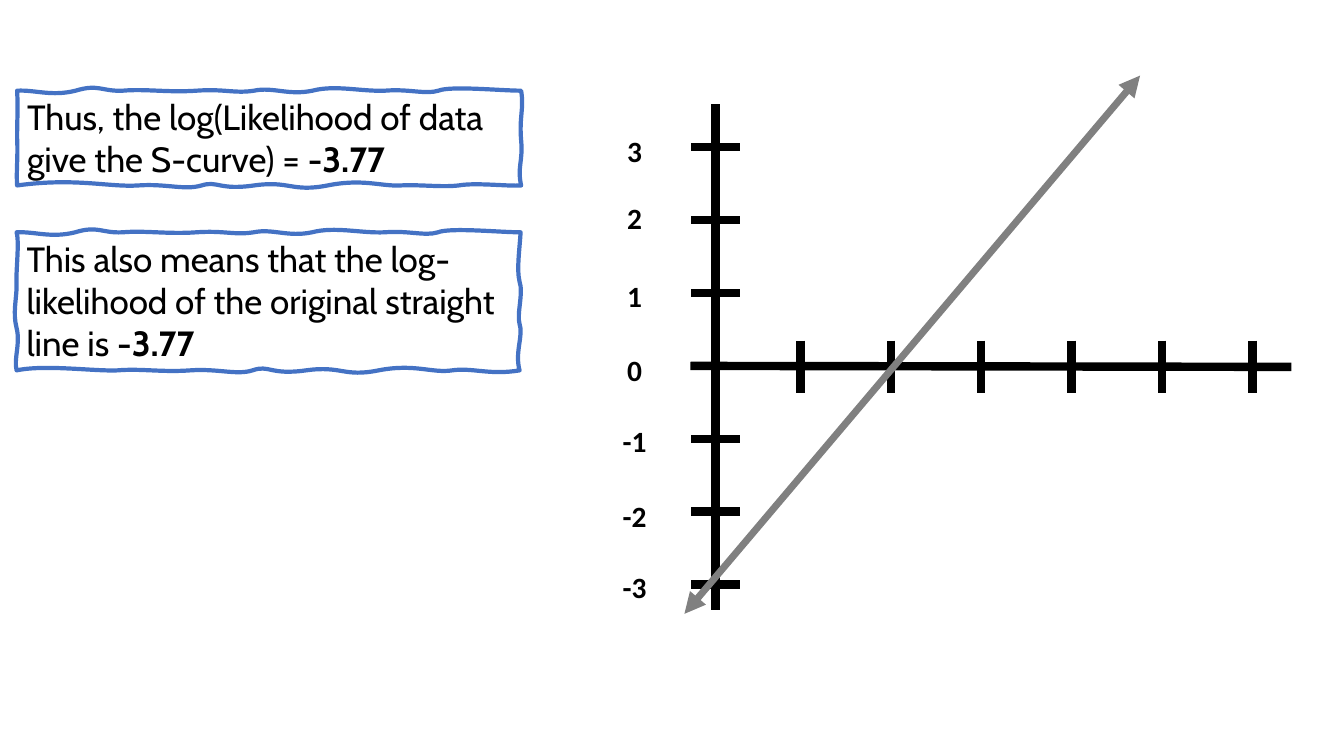
from lxml.etree import SubElement
from pptx import Presentation
from pptx.dml.color import RGBColor
from pptx.enum.shapes import MSO_CONNECTOR
from pptx.enum.text import MSO_ANCHOR, PP_ALIGN
from pptx.oxml.ns import qn
from pptx.util import Inches, Pt

CELL = 0.1  # inches; the grid has 133.33 columns and 75 rows
COLUMNS, ROWS = 133.33, 75
BLACK, BLUE, GRAY = "000000", "4472C4", "808080"

# Wavy edges: each curve is (control, control, end) from the box corner, in cells
TOP_EDGE = [
    (1.8, -.1, 3.4, .6, 5.8, 0), (8.1, -.7, 8.4, .1, 10.5, 0),
    (12.7, -.2, 15, .2, 17.8, 0), (20.6, -.2, 21.6, .3, 23.5, 0),
    (25.4, -.4, 26.9, .5, 29.3, 0), (31.6, -.6, 34.1, .1, 36.5, 0),
    (38.9, -.2, 40.5, .4, 41.8, 0), (43, -.5, 48, 0, 50, 0),
]
SHORT_EDGES = [
    (50.3, 1.8, 49.8, 2.6, 50, 4.9), (50.2, 7.1, 49.6, 7.5, 50, 9.4),
    (48.7, 9.5, 45.5, 9.1, 43.8, 9.4), (42.1, 9.6, 40, 9.3, 38, 9.4),
    (36.1, 9.5, 34.3, 8.7, 30.8, 9.4), (27.2, 10.1, 27.1, 8.9, 23.5, 9.4),
    (20, 9.9, 19.9, 8.9, 18.3, 9.4), (16.6, 9.9, 14.8, 9.2, 12, 9.4),
    (9.2, 9.6, 5.8, 8.6, 0, 9.4), (-.1, 7.9, .1, 6.6, 0, 4.7),
    (0, 2.8, .1, 1.8, 0, 0),
]
TALL_EDGES = [
    (49.9, 1.7, 49.6, 3.7, 49.9, 4.9), (50.3, 6, 49.6, 8.1, 49.9, 9.1),
    (50.3, 10.2, 49.4, 11.9, 49.9, 13.7), (46.9, 14.2, 45.2, 13.4, 43.2, 13.7),
    (41.2, 14, 39.5, 13, 35.9, 13.7), (32.4, 14.4, 32.3, 13.2, 28.7, 13.7),
    (25.1, 14.2, 25.1, 13.1, 23.4, 13.7), (21.8, 14.2, 20, 13.5, 17.2, 13.7),
    (14.4, 13.9, 12.3, 13.5, 10, 13.7), (7.7, 13.8, 2.8, 13.1, 0, 13.7),
    (-.3, 12.5, .4, 11.1, 0, 9.5), (-.4, 8, 0, 6.6, 0, 5.3),
    (-.1, 3.9, .3, 1.1, 0, 0),
]


def color(hex_string):
    return RGBColor.from_string(hex_string)


def cells(count):
    return Inches(count * CELL)


class SlideBuilder:
    body_font, body_size = "Cabin", 25
    label_font, label_size = "Calibri", 21

    def __init__(self, slide):
        self.slide = slide

    def run(self, paragraph, text, font, size, bold):
        run = paragraph.add_run()
        run.text = text
        run.font.name, run.font.size, run.font.bold = font, Pt(size), bold
        run.font.color.rgb = color(BLACK)

    def curved_shape(self, left, top, width, height, curves):
        """A freeform framed by a rectangle, with cubic curves as its outline."""
        right, bottom = left + width, top + height
        builder = self.slide.shapes.build_freeform(cells(left), cells(top))
        builder.add_line_segments([(cells(x), cells(y)) for x, y in
                                   ((right, top), (right, bottom), (left, bottom))])
        shape = builder.convert_to_shape()
        outline = next(shape._element.iter(qn("a:path")))
        for segment in outline.findall(qn("a:lnTo")) + outline.findall(qn("a:close")):
            outline.remove(segment)
        for curve in curves:
            segment = SubElement(outline, qn("a:cubicBezTo"))
            for x, y in zip(curve[::2], curve[1::2]):
                SubElement(segment, qn("a:pt"), x=str(cells(x)), y=str(cells(y)))
        SubElement(outline, qn("a:close"))
        return shape

    def wavy_box(self, left, top, height, edges, text, value):
        shape = self.curved_shape(left, top, 50, height, TOP_EDGE + edges)
        shape.shadow.inherit = False
        shape.fill.background()
        shape.line.color.rgb = color(BLUE)
        shape.line.width = Pt(3)
        frame = shape.text_frame
        frame.word_wrap = True
        frame.vertical_anchor = MSO_ANCHOR.TOP
        paragraph = frame.paragraphs[0]
        paragraph.alignment = PP_ALIGN.LEFT
        self.run(paragraph, text, self.body_font, self.body_size, False)
        self.run(paragraph, value, self.body_font, self.body_size, True)

    def line(self, x1, y1, x2, y2, line_color=BLACK, width=6, arrows=False):
        connector = self.slide.shapes.add_connector(
            MSO_CONNECTOR.STRAIGHT, cells(x1), cells(y1), cells(x2), cells(y2))
        connector.line.color.rgb = color(line_color)
        connector.line.width = Pt(width)
        if arrows:
            for end in ("a:headEnd", "a:tailEnd"):
                SubElement(connector.line._ln, qn(end), type="triangle")
        SubElement(connector._element.spPr, qn("a:effectLst"))

    def label(self, left, top, text):
        box = self.slide.shapes.add_textbox(cells(left), cells(top), cells(10.1), cells(4))
        box.text_frame.word_wrap = True
        paragraph = box.text_frame.paragraphs[0]
        paragraph.alignment = PP_ALIGN.CENTER
        self.run(paragraph, text, self.label_font, self.label_size, True)


def main():
    presentation = Presentation()
    presentation.slide_width, presentation.slide_height = cells(COLUMNS), cells(ROWS)
    builder = SlideBuilder(presentation.slides.add_slide(presentation.slide_layouts[6]))

    # First statement
    builder.wavy_box(1.7, 9, 9.4, SHORT_EDGES,
                     "Thus, the log(Likelihood of data give the S-curve) = ", "-3.77")

    # Axes
    builder.line(71, 60.5, 71, 10.3)
    builder.line(68.5, 36.3, 128.1, 36.4)

    # Ticks on both axes
    for index in range(6):
        x = 79.4 + 8.97 * index
        builder.line(x, 33.8, x, 39)
    for value in (3, 2, 1, -1, -2, -3):
        y = 36.3 - 7.23 * value
        builder.line(73.4, y, 68.6, y)

    # Values beside the vertical axis
    label_tops = {3: 12.7, 2: 19.4, 1: 27.1, 0: 34.4, -1: 41.5, -2: 48.9, -3: 56}
    for value, top in label_tops.items():
        builder.label(57.9, top, str(value))

    # Straight line through the data
    builder.line(67.9, 60.9, 113.1, 7.5, GRAY, 5, arrows=True)

    # Second statement
    builder.wavy_box(1.65, 23.05, 13.6, TALL_EDGES,
                     "This also means that the log-likelihood of the original straight line is ",
                     "-3.77")

    presentation.save("out.pptx")


if __name__ == "__main__":
    main()
